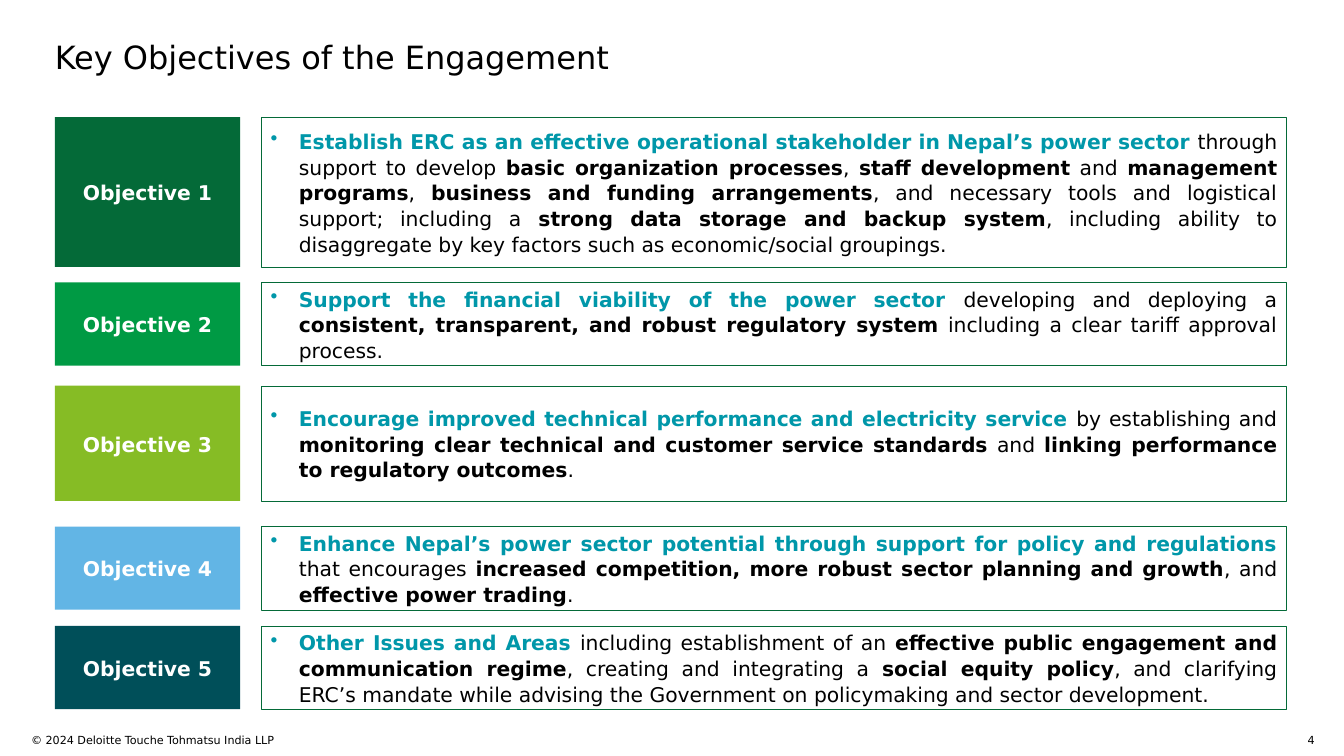
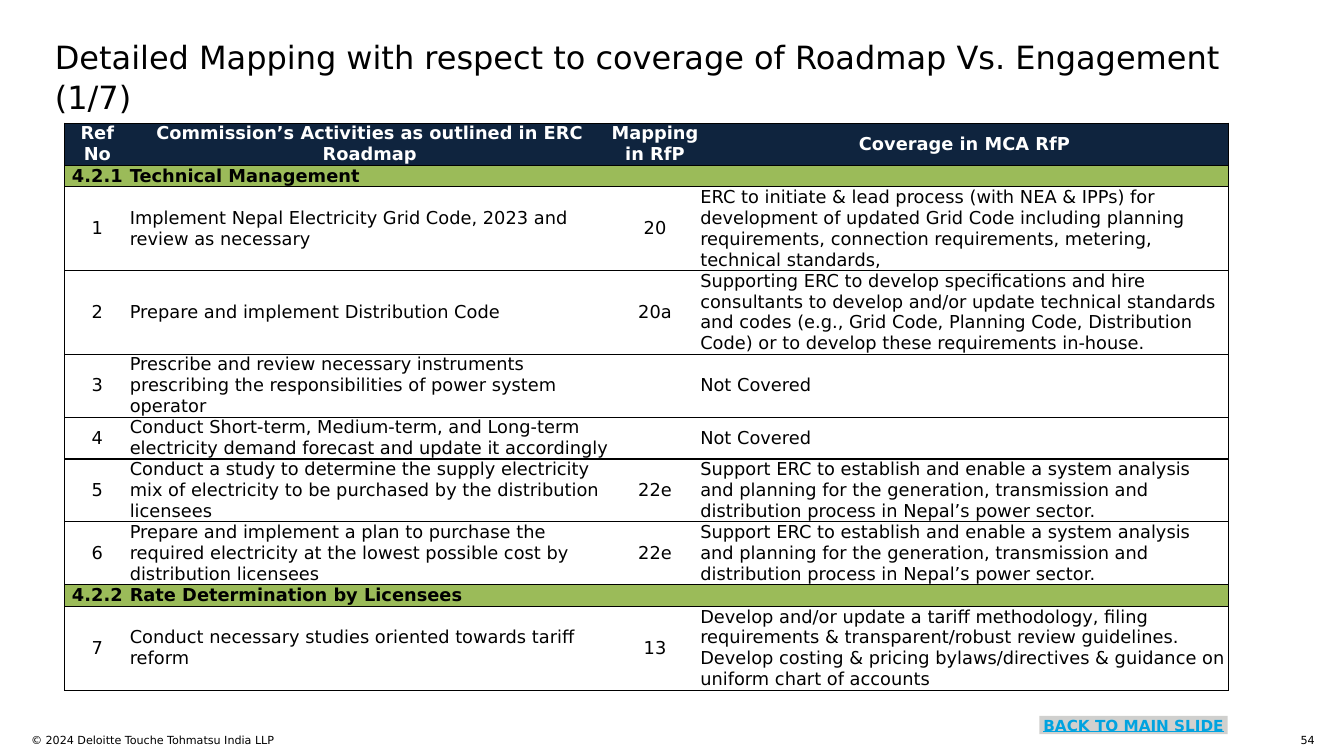
from lxml.etree import SubElement
from pptx import Presentation
from pptx.dml.color import RGBColor
from pptx.enum.shapes import MSO_SHAPE
from pptx.enum.text import MSO_ANCHOR, MSO_AUTO_SIZE, PP_ALIGN
from pptx.oxml import parse_xml
from pptx.oxml.ns import nsdecls, qn
from pptx.util import Pt

FONT = "DejaVu Sans"
COLOURS = {
    "black": "000000", "white": "FFFFFF", "teal": "0097A9", "outline": "046A38",
    "navy": "0F243E", "section": "9BBB59", "grey": "D0D0CE", "link": "00A3E0",
    "forest": "046A38", "green": "009A44", "lime": "86BC25", "sky": "62B5E5",
    "petrol": "004F59",
}
LEFT = 43.2
LINE_SPACING = 1.06
TABLE_LINE = 16.5
COLUMN_WIDTHS = (51.1, 378, 71.3, 416.2)

# label, colour, top, height, lead, text with ** around bold parts
OBJECTIVES = [
    ("Objective 1", "forest", 92.2, 118,
     "Establish ERC as an effective operational stakeholder in Nepal’s power sector ",
     "through support to develop **basic organization processes**, **staff development** and "
     "**management programs**, **business and funding arrangements**, and necessary tools and "
     "logistical support; including a **strong data storage and backup system**, including "
     "ability to disaggregate by key factors such as economic/social groupings."),
    ("Objective 2", "green", 222.5, 65.5,
     "Support the financial viability of the power sector ",
     "developing and deploying a **consistent, transparent, and robust regulatory system** "
     "including a clear tariff approval process."),
    ("Objective 3", "lime", 303.8, 90.7,
     "Encourage improved technical performance and electricity service ",
     "by establishing and **monitoring clear technical and customer service standards** and "
     "**linking performance to regulatory outcomes**."),
    ("Objective 4", "sky", 414.7, 65.5,
     "Enhance Nepal’s power sector potential through support for policy and regulations ",
     "that encourages **increased competition, more robust sector planning and growth**, and "
     "**effective power trading**."),
    ("Objective 5", "petrol", 493, 65.5,
     "Other Issues and Areas ",
     "including establishment of an **effective public engagement and communication regime**, "
     "creating and integrating a **social equity policy**, and clarifying ERC’s mandate while "
     "advising the Government on policymaking and sector development."),
]

SYSTEM_SUPPORT = ("Support ERC to establish and enable a system analysis and planning for the "
                  "generation, transmission and distribution process in Nepal’s power sector.")

# kind, number of text lines, cell texts
MAPPING = [
    ("header", 2, ("Ref No", "Commission’s Activities as outlined in ERC Roadmap",
                   "Mapping in RfP", "Coverage in MCA RfP")),
    ("section", 1, ("4.2.1", "Technical Management", "", "")),
    ("body", 4, ("1", "Implement Nepal Electricity Grid Code, 2023 and review as necessary", "20",
                 "ERC to initiate & lead process (with NEA & IPPs) for development of updated "
                 "Grid Code including planning requirements, connection requirements, metering, "
                 "technical standards,")),
    ("body", 4, ("2", "Prepare and implement Distribution Code", "20a",
                 "Supporting ERC to develop specifications and hire consultants to develop and/or "
                 "update technical standards and codes (e.g., Grid Code, Planning Code, "
                 "Distribution Code) or to develop these requirements in-house.")),
    ("body", 3, ("3", "Prescribe and review necessary instruments prescribing the "
                 "responsibilities of power system operator", "", "Not Covered")),
    ("body", 2, ("4", "Conduct Short-term, Medium-term, and Long-term electricity demand forecast "
                 "and update it accordingly", "", "Not Covered")),
    ("body", 3, ("5", "Conduct a study to determine the supply electricity mix of electricity to "
                 "be purchased by the distribution licensees", "22e", SYSTEM_SUPPORT)),
    ("body", 3, ("6", "Prepare and implement a plan to purchase the required electricity at the "
                 "lowest possible cost by distribution licensees", "22e", SYSTEM_SUPPORT)),
    ("section", 1, ("4.2.2", "Rate Determination by Licensees", "", "")),
    ("body", 4, ("7", "Conduct necessary studies oriented towards tariff reform", "13",
                 "Develop and/or update a tariff methodology, filing requirements & "
                 "transparent/robust review guidelines. Develop costing & pricing "
                 "bylaws/directives & guidance on uniform chart of accounts")),
]
# kind: fill, text colour, bold
ROW_STYLES = {
    "header": ("navy", "white", True),
    "section": ("section", "black", True),
    "body": (None, "black", False),
}


def rgb(name):
    return RGBColor.from_string(COLOURS[name])


def add_span(paragraph, text, size, colour="black", bold=False, underline=None):
    span = paragraph.add_run()
    span.text = text
    font = span.font
    font.name, font.size, font.bold, font.underline = FONT, Pt(size), bold, underline
    font.color.rgb = rgb(colour)


def set_frame(frame, inset=0, anchor=MSO_ANCHOR.TOP):
    frame.word_wrap = True
    frame.auto_size = MSO_AUTO_SIZE.NONE
    frame.vertical_anchor = anchor
    frame.margin_left = frame.margin_right = Pt(inset)
    frame.margin_top = frame.margin_bottom = Pt(inset)


def write(frame, text, size, align=PP_ALIGN.LEFT, spacing=None, **span_format):
    paragraph = frame.paragraphs[0]
    paragraph.alignment = align
    paragraph.line_spacing = spacing
    add_span(paragraph, text, size, **span_format)


def add_text(page, left, top, width, height, text, size, **text_format):
    box = page.shapes.add_textbox(Pt(left), Pt(top), Pt(width), Pt(height))
    set_frame(box.text_frame)
    write(box.text_frame, text, size, **text_format)


def add_rectangle(shapes, left, top, width, height, fill=None, line=None, inset=0,
                  anchor=MSO_ANCHOR.MIDDLE):
    box = shapes.add_shape(MSO_SHAPE.RECTANGLE, Pt(left), Pt(top), Pt(width), Pt(height))
    box.shadow.inherit = False
    if fill:
        box.fill.solid()
        box.fill.fore_color.rgb = rgb(fill)
    else:
        box.fill.background()
    if line:
        box.line.color.rgb = rgb(line)
        box.line.width = Pt(0.25)
    else:
        box.line.fill.background()
    set_frame(box.text_frame, inset, anchor)
    return box


def add_page(deck, title, number):
    """Add a title-only page with its title, copyright line and page number."""
    page = deck.slides.add_slide(deck.slide_layouts[5])
    box = page.shapes.title
    box.left, box.top, box.width, box.height = Pt(LEFT), Pt(27.4), Pt(969), Pt(32)
    set_frame(box.text_frame)
    write(box.text_frame, title, 25.2, spacing=LINE_SPACING)
    add_text(page, 24.5, 578, 465, 17, "© 2024 Deloitte Touche Tohmatsu India LLP", 8.8)
    add_text(page, 1008.7, 578, 26.7, 9, number, 8.8, align=PP_ALIGN.RIGHT)
    return page


def add_bullet(paragraph, indent):
    properties = paragraph._p.get_or_add_pPr()
    properties.set("marL", str(Pt(indent)))
    properties.set("indent", str(-Pt(indent)))
    SubElement(properties, qn("a:buChar"), char="•")


def add_objective(page, label, colour, top, height, lead, text):
    shapes = page.shapes.add_group_shape().shapes
    tag = add_rectangle(shapes, LEFT, top, 146, height, fill=colour, inset=7.2)
    write(tag.text_frame, label, 16, PP_ALIGN.CENTER, LINE_SPACING, colour="white", bold=True)
    panel = add_rectangle(shapes, 206, top, 807, height, line="outline", inset=7.2)
    paragraph = panel.text_frame.paragraphs[0]
    paragraph.alignment = PP_ALIGN.JUSTIFY
    paragraph.line_spacing = LINE_SPACING
    add_bullet(paragraph, 22.3)
    add_span(paragraph, lead, 16, "teal", True)
    for index, part in enumerate(text.split("**")):
        add_span(paragraph, part, 16, bold=index % 2 == 1)


def set_borders(cell, visible):
    """Draw the named sides (from L, R, T, B) in black and clear the others."""
    properties = cell._tc.get_or_add_tcPr()
    for index, side in enumerate("LRTB"):
        paint = "<a:noFill/>"
        if side in visible:
            paint = f'<a:solidFill><a:srgbClr val="{COLOURS["black"]}"/></a:solidFill>'
        properties.insert(index, parse_xml(
            f'<a:ln{side} {nsdecls("a")} w="{Pt(1)}">{paint}</a:ln{side}>'))


def fill_cell(cell, text, kind, column):
    fill, colour, bold = ROW_STYLES[kind]
    cell.margin_left = cell.margin_right = cell.margin_top = cell.margin_bottom = 0
    cell.vertical_anchor = MSO_ANCHOR.MIDDLE
    if fill:
        cell.fill.solid()
        cell.fill.fore_color.rgb = rgb(fill)
    else:
        cell.fill.background()
    set_borders(cell, "TB" + {0: "L", 3: "R"}.get(column, ""))
    if text:
        centred = kind == "header" or column in (0, 2)
        write(cell.text_frame, text, 14, PP_ALIGN.CENTER if centred else PP_ALIGN.LEFT,
              colour=colour, bold=bold)
    else:
        # An empty cell must not push its row beyond the text size.
        SubElement(cell.text_frame.paragraphs[0]._p, qn("a:endParaRPr"), sz="1400")


def add_mapping_table(page, left, top):
    height = TABLE_LINE * sum(lines for _, lines, _ in MAPPING)
    table = page.shapes.add_table(len(MAPPING), len(COLUMN_WIDTHS), Pt(left), Pt(top),
                                  Pt(sum(COLUMN_WIDTHS)), Pt(height)).table
    table.horz_banding = False
    for column, width in zip(table.columns, COLUMN_WIDTHS):
        column.width = Pt(width)
    for row, (kind, lines, texts) in zip(table.rows, MAPPING):
        row.height = Pt(TABLE_LINE * lines)
        for column, (cell, text) in enumerate(zip(row.cells, texts)):
            fill_cell(cell, text, kind, column)


def main():
    deck = Presentation()
    deck.slide_width, deck.slide_height = Pt(1058.4), Pt(595.44)

    page = add_page(deck, "Key Objectives of the Engagement", "4")
    for objective in OBJECTIVES:
        add_objective(page, *objective)

    page = add_page(
        deck, "Detailed Mapping with respect to coverage of Roadmap Vs. Engagement (1/7)", "54")
    add_mapping_table(page, 51.1, 97)
    button = add_rectangle(page.shapes, 818.6, 563.8, 148.3, 14.4, fill="grey",
                           anchor=MSO_ANCHOR.TOP)
    write(button.text_frame, "BACK TO MAIN SLIDE", 12, PP_ALIGN.CENTER,
          colour="link", bold=True, underline=True)

    deck.save("out.pptx")


if __name__ == "__main__":
    main()
